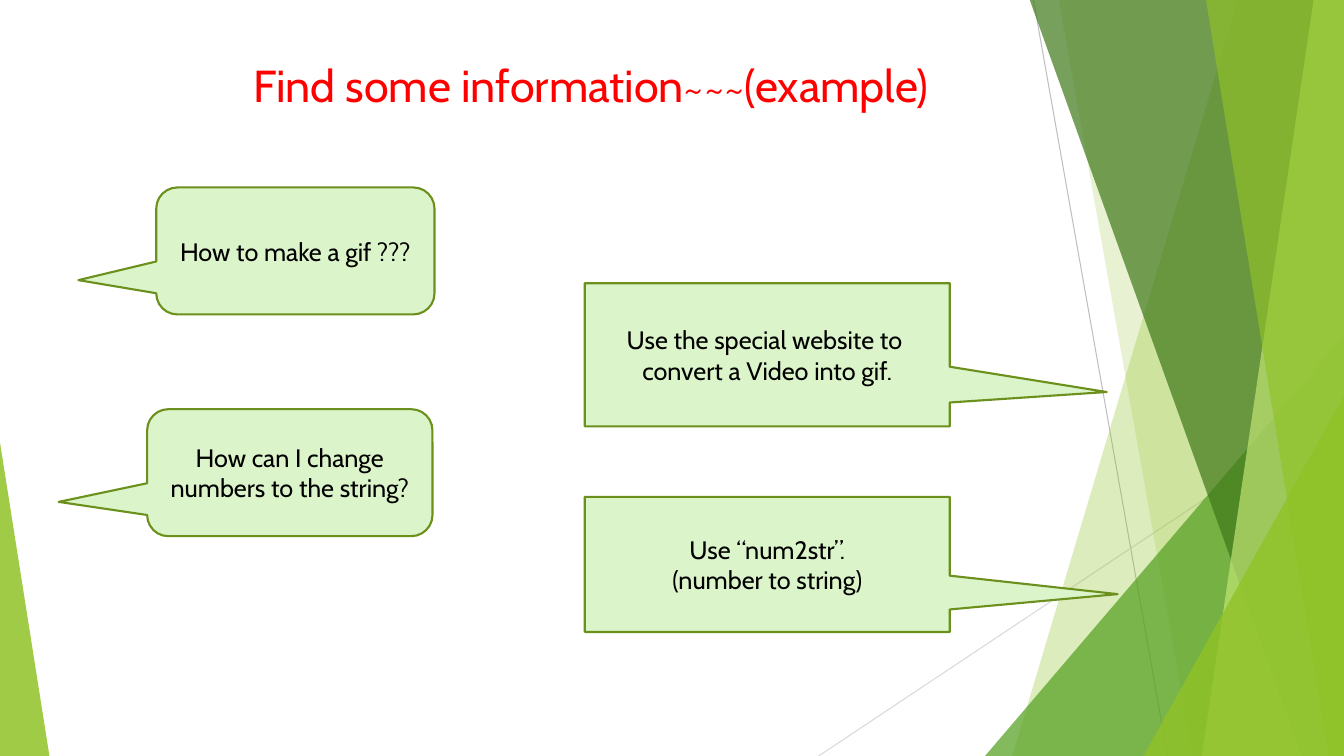
from lxml.etree import SubElement
from pptx import Presentation
from pptx.dml.color import RGBColor
from pptx.enum.shapes import MSO_CONNECTOR, MSO_SHAPE as Shape
from pptx.enum.text import MSO_ANCHOR as Anchor, MSO_AUTO_SIZE as AutoSize, PP_ALIGN as Align
from pptx.oxml.ns import qn
from pptx.util import Pt

EMU_PER_PX = 9144  # 100 px to the inch
WIDTH, HEIGHT = 1333, 750
FONT = "Cabin"


def px(length):
    return round(length * EMU_PER_PX)


def rgb(code):
    return RGBColor.from_string(code)


def fill_solid(shape, color, opacity=100):
    shape.shadow.inherit = False
    shape.fill.solid()
    shape.fill.fore_color.rgb = rgb(color)
    if opacity < 100:
        solid = shape.fill._xPr.find(qn("a:solidFill"))
        SubElement(solid[0], qn("a:alpha"), val=str(opacity * 1000))


def add_span(para, text, size, color):
    span = para.add_run()
    span.text = text
    span.font.name = FONT
    span.font.size = Pt(size)
    span.font.color.rgb = rgb(color)


def add_ray(page, start, end, color):
    ray = page.shapes.add_connector(MSO_CONNECTOR.STRAIGHT, *map(px, start + end))
    ray.line.color.rgb = rgb(color)
    ray.line.width = Pt(0.75)
    SubElement(ray._element.spPr, qn("a:effectLst"))


def add_band(page, box, top_x, bottom_x, color, opacity):
    """Panel from a slanted left edge to the right side of the box."""
    left, top, width, height = box
    right, bottom = left + width, top + height
    outline = page.shapes.build_freeform(px(left + top_x), px(top))
    corners = [(right, top), (right, bottom), (left + bottom_x, bottom)]
    outline.add_line_segments([(px(x), px(y)) for x, y in corners], close=True)
    band = outline.convert_to_shape()
    fill_solid(band, color, opacity)
    band.line.fill.background()


def add_corner(page, box, peak, color, opacity):
    corner = page.shapes.add_shape(Shape.ISOSCELES_TRIANGLE, *map(px, box))
    corner.adjustments[0] = peak
    fill_solid(corner, color, opacity)
    corner.line.fill.background()


def draw_backdrop(page, box):
    left, top, width, height = box
    right, bottom = left + width, top + height

    # Thin rays
    add_ray(page, (left + 48, top), (left + 181, bottom), "BFBFBF")
    add_ray(page, (right, top + 403), (left - 165, bottom), "D9D9D9")

    # Overlapping green panels, back to front
    panel = (left, top - 1, width, height + 1)
    add_band(page, panel, 251, 27, "90C226", 30)
    add_band(page, panel, 73, 206, "90C226", 20)
    add_corner(page, (left, bottom - 417, width, 417), 1, "54A021", 72)
    add_band(page, panel, 44, 314, "3F7819", 70)
    add_band(page, panel, 326, 215, "C0E474", 70)
    add_band(page, panel, 219, 341, "90C226", 65)
    add_corner(page, (right - 199, bottom - 357, 199, 357), 1, "90C226", 80)

    # Left edge of the slide
    add_corner(page, (0, bottom - 311, 49, 311), 0, "90C226", 85)


def place_title(page, box, text):
    title = page.shapes.title
    title.left, title.top, title.width, title.height = map(px, box)
    frame = title.text_frame
    frame.word_wrap = False
    frame.auto_size = AutoSize.SHAPE_TO_FIT_TEXT
    frame.vertical_anchor = Anchor.TOP
    para = frame.paragraphs[0]
    para.alignment = Align.LEFT
    add_span(para, text, 32, "FF0000")


def add_callout(page, box, kind, tail, lines):
    callout = page.shapes.add_shape(kind, *map(px, box))
    callout.adjustments[0], callout.adjustments[1] = tail
    fill_solid(callout, "DBF4CA")
    callout.line.color.rgb = rgb("6B901C")
    callout.line.width = Pt(1.5)
    frame = callout.text_frame
    frame.word_wrap = True
    frame.vertical_anchor = Anchor.MIDDLE
    for index, line in enumerate(lines):
        para = frame.add_paragraph() if index else frame.paragraphs[0]
        para.alignment = Align.CENTER
        add_span(para, line, 18, "000000")


def draw_dialogue(page, box):
    left, top = box[:2]
    question, answer = Shape.ROUNDED_RECTANGULAR_CALLOUT, Shape.RECTANGULAR_CALLOUT
    callouts = [
        ((9, 0, 276, 126), question, (-0.78, 0.23), ["How to make a gif ???"]),
        ((434, 95, 362, 142), answer, (0.93, 0.26),
         ["Use the special website to ", "convert a Video into gif."]),
        ((0, 220, 283, 126), question, (-0.81, 0.23),
         ["How can I change numbers to the string?"]),
        ((434, 307, 362, 134), answer, (0.96, 0.22),
         ["Use “num2str”.", "(number to string)"]),
    ]
    for (x, y, width, height), kind, tail, lines in callouts:
        add_callout(page, (left + x, top + y, width, height), kind, tail, lines)


def main():
    deck = Presentation()
    deck.slide_width, deck.slide_height = px(WIDTH), px(HEIGHT)
    page = deck.slides.add_slide(deck.slide_layouts[5])
    draw_backdrop(page, (977, 0, WIDTH - 977, HEIGHT))
    place_title(page, (241, 52, 747, 64), "Find some information~~~(example)")
    draw_dialogue(page, (146, 186, 796, 441))
    deck.save("out.pptx")


if __name__ == "__main__":
    main()
